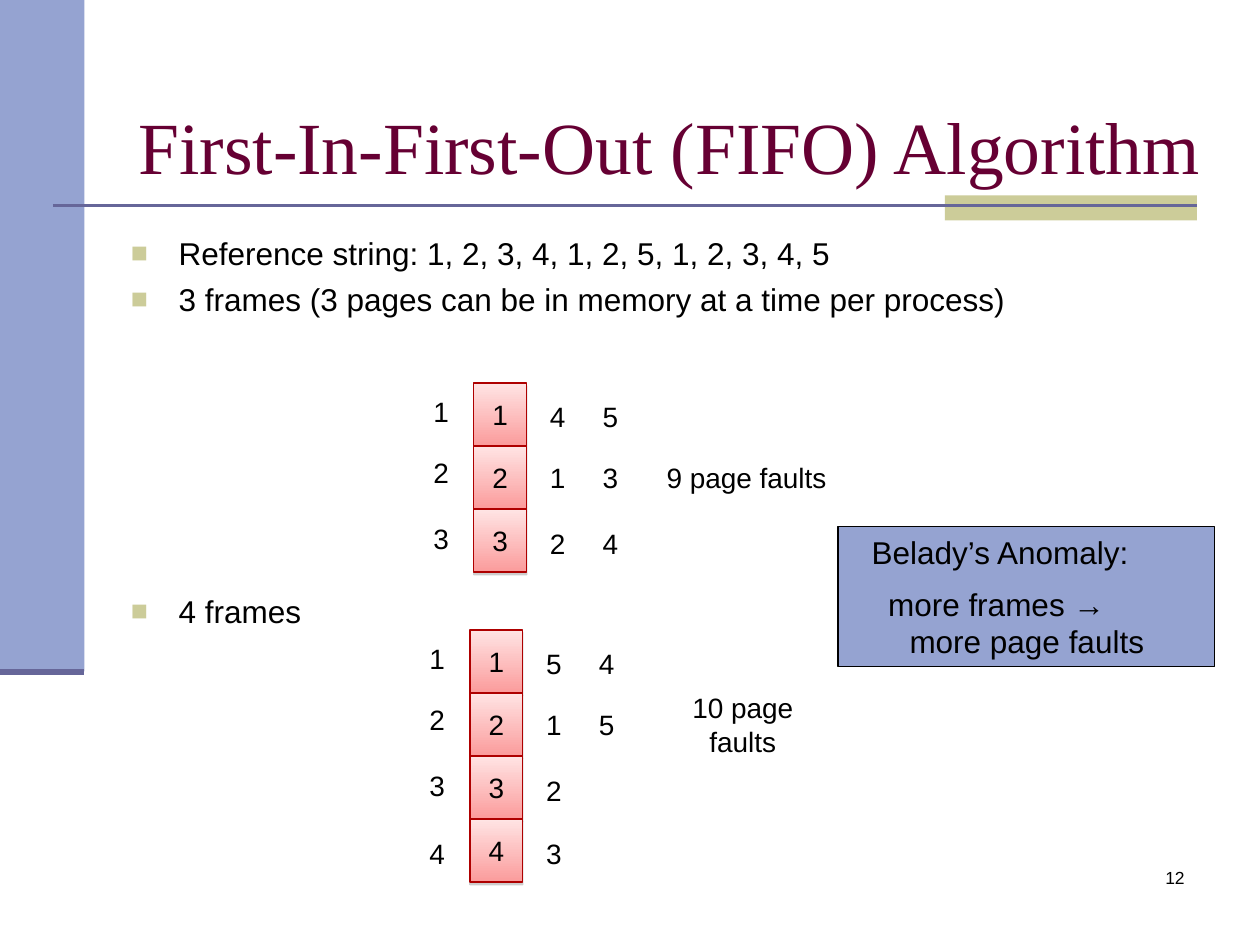
"""Build the slide on FIFO page replacement and Belady's Anomaly."""
from lxml import etree
from pptx import Presentation
from pptx.dml.color import RGBColor
from pptx.enum.shapes import MSO_CONNECTOR, MSO_SHAPE
from pptx.enum.text import MSO_ANCHOR, PP_ALIGN
from pptx.oxml.ns import qn
from pptx.util import Inches, Pt

LEFT, MID, RIGHT = PP_ALIGN.LEFT, PP_ALIGN.CENTER, PP_ALIGN.RIGHT
TOP, CORE, BASE = MSO_ANCHOR.TOP, MSO_ANCHOR.MIDDLE, MSO_ANCHOR.BOTTOM
RECT, FLOW = MSO_SHAPE.RECTANGLE, MSO_SHAPE.FLOWCHART_PROCESS

COLS, ROWS, UNIT = 20, 15, 0.5
HUES = {"band": "95A3D1", "sand": "CCCC99", "rule": "666699",
        "title": "660033", "ink": "000000", "pale": "FFE4E4",
        "pink": "FB9C9C", "edge": "AE0000", "shade": "808080"}

TITLE = "First-In-First-Out (FIFO) Algorithm"
POINTS = [("Reference string: 1, 2, 3, 4, 1, 2, 5, 1, 2, 3, 4, 5", 0),
          ("3 frames (3 pages can be in memory at a time per process)", 4.5),
          ("4 frames", 156.5)]
NOTE = [("Belady’s Anomaly:", 0, 0.17, 0),
        ("more frames →\vmore page faults", 7.9, 0.47, -0.17)]
NUMBER = "12"
STACKS = [
    {"at": (7.52, 6.08), "frames": "123", "loads": ["412", "534"],
     "faults": "9 page faults"},
    {"at": (7.46, 10), "frames": "1234", "loads": ["5123", "45"],
     "faults": "10 page faults"},
]
BANDS = [("band", 0, 0, 1.34, 10.66), ("sand", 15, 3.1, 4, 0.4)]
RULES = [(0.84, 3.26, 19, 3.26, 1.5), (0, 10.66, 1.34, 10.66, 3.5)]
CELL = (0.84, 1)
TAG = (0.64, 0.74)
STEPS = [0.08, 1.05, 2.09, 3.18]
DROP = [0.08, 0.08, 0.09, 0]


def hue(name):
    return RGBColor.from_string(HUES[name])


def grid(*cells):
    return [Inches(c * UNIT) for c in cells]


def fill(shape, name):
    shape.fill.solid()
    shape.fill.fore_color.rgb = hue(name)


def write(shape, lines, size=16, align=MID, anchor=CORE, wrap=False,
          face="Arial", tint="ink"):
    frame = shape.text_frame
    for key, val in {"word_wrap": wrap, "vertical_anchor": anchor}.items():
        setattr(frame, key, val)
    for i, (text, gap) in enumerate(lines):
        para = frame.add_paragraph() if i else frame.paragraphs[0]
        para.text, para.alignment = text, align
        if gap:
            para.space_before = Pt(gap)
        for run in para.runs:
            for key, val in {"size": Pt(size), "name": face}.items():
                setattr(run.font, key, val)
            run.font.color.rgb = hue(tint)
    return frame.paragraphs


def label(slide, text, col, row, wide, tall, **form):
    box = slide.shapes.add_textbox(*grid(col, row, wide, tall))
    return write(box, [(text, 0)], **form)


def block(slide, kind, *cells):
    shape = slide.shapes.add_shape(kind, *grid(*cells))
    shape.shadow.inherit = False
    return shape


def indent(para, left, first):
    props = para._p.get_or_add_pPr()
    for key, val in {"marL": left, "indent": first}.items():
        props.set(key, str(Inches(val)))
    return props


def bullet(para):
    props = indent(para, 0.38, -0.38)
    tone = etree.SubElement(props, qn("a:buClr"))
    etree.SubElement(tone, qn("a:srgbClr"), val=HUES["sand"])
    etree.SubElement(props, qn("a:buSzPct"), val="90000")
    etree.SubElement(props, qn("a:buFont"), typeface="Arial")
    etree.SubElement(props, qn("a:buChar"), char="■")


def drop(shape):
    effect = shape._element.spPr.find(qn("a:effectLst"))
    cast = etree.SubElement(effect, qn("a:outerShdw"), dist=str(Pt(1.6)),
                            dir="5400000", rotWithShape="0")
    tone = etree.SubElement(cast, qn("a:srgbClr"), val=HUES["shade"])
    etree.SubElement(tone, qn("a:alpha"), val="38000")


def cell(slide, text, col, row):
    shape = block(slide, RECT, col, row, *CELL)
    shape.fill.gradient()
    shape.fill.gradient_angle = 270
    for stop, name, pos in zip(shape.fill.gradient_stops,
                               ("pale", "pink"), (0, 1)):
        stop.color.rgb, stop.position = hue(name), pos
    shape.line.color.rgb, shape.line.width = hue("edge"), Pt(0.75)
    drop(shape)
    write(shape, [(text, 0)])


def stack(slide, at, frames, loads, faults):
    col, row = at
    for i, text in enumerate(frames):
        cell(slide, text, col, row + i * CELL[1])
        label(slide, text, col - CELL[0], row + STEPS[i], *TAG)
    for j, load in enumerate(loads):
        for i, text in enumerate(load):
            label(slide, text, col + 1.01 + j * CELL[0],
                  row + STEPS[i] + DROP[i], *TAG)
    label(slide, faults, col + 2.8, row + STEPS[1] + DROP[1], 3.06, TAG[1])


def decor(slide):
    for name, *cells in BANDS:
        shape = block(slide, RECT, *cells)
        fill(shape, name)
        shape.line.fill.background()
    for *ends, width in RULES:
        rule = slide.shapes.add_connector(MSO_CONNECTOR.STRAIGHT, *grid(*ends))
        rule.line.color.rgb, rule.line.width = hue("rule"), Pt(width)
        etree.SubElement(rule._element.spPr, qn("a:effectLst"))


def main():
    deck = Presentation()
    deck.slide_width, deck.slide_height = grid(COLS, ROWS)
    slide = deck.slides.add_slide(deck.slide_layouts[6])
    decor(slide)
    label(slide, TITLE, 2, 0.6, 17.6, 2.5, size=42, align=LEFT, anchor=BASE,
          wrap=True, face="Times New Roman", tint="title")
    body = slide.shapes.add_textbox(*grid(1.88, 3.62, 16.58, 9.7))
    for para in write(body, POINTS, 18, LEFT, TOP, True):
        bullet(para)
    for item in STACKS:
        stack(slide, **item)
    note = block(slide, FLOW, 13.3, 8.36, 5.98, 2.22)
    fill(note, "band")
    note.line.color.rgb, note.line.width = hue("ink"), Pt(0.75)
    lines = [(text, gap) for text, gap, *_ in NOTE]
    for para, item in zip(write(note, lines, 18, LEFT, CORE, True), NOTE):
        indent(para, *item[2:])
    label(slide, NUMBER, 14.84, 13.66, 4.16, 1, size=10, align=RIGHT,
          anchor=TOP, wrap=True)
    deck.save("out.pptx")


if __name__ == "__main__":
    main()
